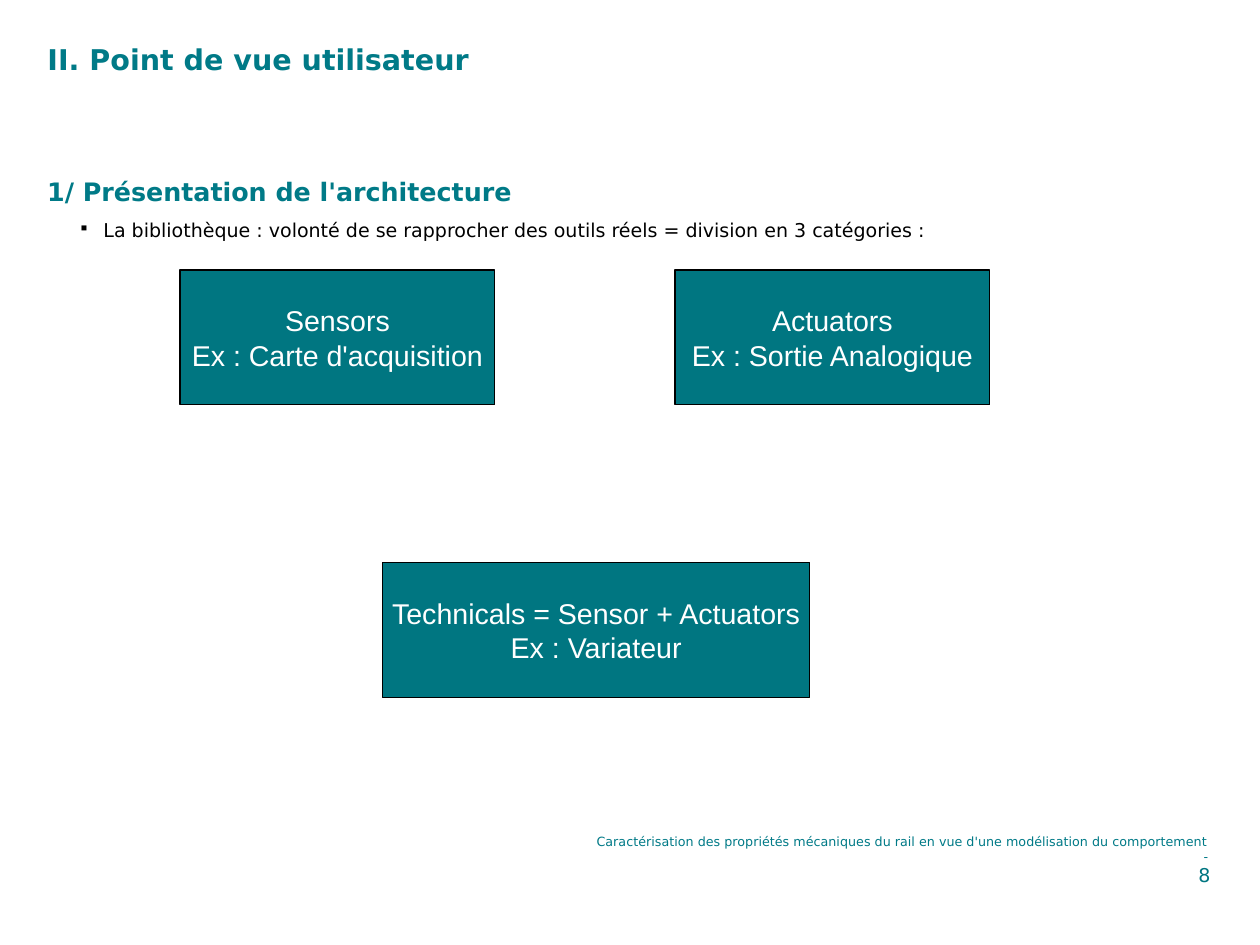
import pptx
import pptx.dml.color
import pptx.enum.shapes
import pptx.enum.text
import pptx.oxml
import pptx.oxml.ns
import pptx.util
from pptx.util import Cm

TEAL_TEXT = pptx.dml.color.RGBColor(0x00, 0x7A, 0x87)
TEAL_FILL = pptx.dml.color.RGBColor(0x00, 0x76, 0x81)
BLACK = pptx.dml.color.RGBColor(0x00, 0x00, 0x00)
WHITE = pptx.dml.color.RGBColor(0xFF, 0xFF, 0xFF)
LEFT, CENTER, RIGHT = (pptx.enum.text.PP_ALIGN.LEFT, pptx.enum.text.PP_ALIGN.CENTER,
                       pptx.enum.text.PP_ALIGN.RIGHT)


def format_paragraph(paragraph, size, color, align=LEFT, bold=False, font="DejaVu Sans"):
    paragraph.alignment = align
    paragraph.font.name = font
    paragraph.font.size = pptx.util.Pt(size)
    paragraph.font.bold = bold
    paragraph.font.color.rgb = color


def add_text(left, top, width, height, text):
    frame = slide.shapes.add_textbox(Cm(left), Cm(top), Cm(width), Cm(height)).text_frame
    frame.word_wrap = True
    frame.text = text
    return frame


prs = pptx.Presentation()
prs.slide_width, prs.slide_height = Cm(28), Cm(21)
slide = prs.slides.add_slide(prs.slide_layouts[5])

title = slide.shapes.title
title.left, title.top, title.width, title.height = Cm(0.8), Cm(0.8), Cm(15.2), Cm(1.95)
title.text_frame.text = "II. Point de vue utilisateur"
title.text_frame.auto_size = pptx.enum.text.MSO_AUTO_SIZE.NONE
title.text_frame.vertical_anchor = pptx.enum.text.MSO_ANCHOR.TOP
format_paragraph(title.text_frame.paragraphs[0], 18, TEAL_TEXT, bold=True)

body = add_text(0.8, 3.8, 26.2, 12.5,
                "1/ Présentation de l'architecture\n"
                "La bibliothèque : volonté de se rapprocher des outils réels = "
                "division en 3 catégories :")
heading, library = body.paragraphs
format_paragraph(heading, 16, TEAL_TEXT, bold=True)

bullet = library._p.get_or_add_pPr()
bullet.set("marL", str(Cm(1.25)))
bullet.set("indent", str(Cm(-0.5)))
namespace = pptx.oxml.ns.nsdecls("a")
for element in (f'<a:buClr {namespace}><a:srgbClr val="{BLACK}"/></a:buClr>',
                f'<a:buSzPct {namespace} val="45000"/>',
                f'<a:buChar {namespace} char="■"/>'):
    bullet.append(pptx.oxml.parse_xml(element))
library.line_spacing = 1.5
format_paragraph(library, 12, BLACK)

categories = [
    (4, 6, 7, "Sensors\nEx : Carte d'acquisition"),
    (8.5, 12.5, 9.5, "Technicals = Sensor + Actuators\nEx : Variateur"),
    (15, 6, 7, "Actuators\nEx : Sortie Analogique"),
]
for left, top, width, label in categories:
    category = slide.shapes.add_shape(pptx.enum.shapes.MSO_SHAPE.RECTANGLE,
                                      Cm(left), Cm(top), Cm(width), Cm(3))
    category.shadow.inherit = False
    category.fill.solid()
    category.fill.fore_color.rgb = TEAL_FILL
    category.line.color.rgb = BLACK
    category.line.width = pptx.util.Pt(0)
    category.text_frame.word_wrap = False
    category.text_frame.vertical_anchor = pptx.enum.text.MSO_ANCHOR.MIDDLE
    category.text_frame.text = label
    for paragraph in category.text_frame.paragraphs:
        format_paragraph(paragraph, 18, WHITE, CENTER, font="Arial")

footer = add_text(13, 18.4, 14.1, 1.83,
                  "Caractérisation des propriétés mécaniques du rail "
                  "en vue d'une modélisation du comportement\n-")
for paragraph in footer.paragraphs:
    format_paragraph(paragraph, 8, TEAL_TEXT, RIGHT)

page_number = add_text(20.37, 19.18, 6.53, 1.45, "8")
page_number.margin_left = page_number.margin_right = 0
page_number.margin_top = page_number.margin_bottom = 0
format_paragraph(page_number.paragraphs[0], 12, TEAL_FILL, RIGHT)

prs.save("out.pptx")
